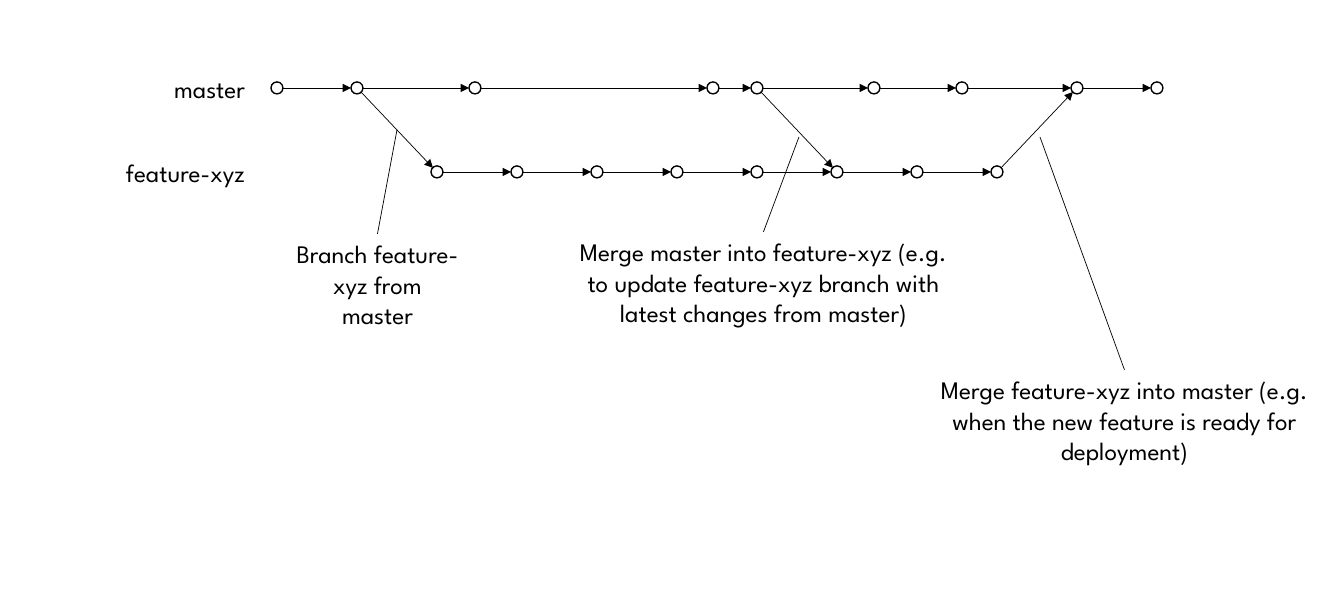
from itertools import pairwise

from lxml import etree
from pptx import Presentation
from pptx.dml.color import RGBColor
from pptx.enum.shapes import MSO_CONNECTOR, MSO_SHAPE
from pptx.enum.text import MSO_AUTO_SIZE, PP_ALIGN
from pptx.oxml.ns import qn
from pptx.util import Cm, Emu, Pt

SCALE = 914400 / 100.8  # EMU in one px
WIDTH, HEIGHT = 1344, Cm(15)  # px, and a page height set in centimetres
STRAIGHT, CIRCLE = MSO_CONNECTOR.STRAIGHT, MSO_SHAPE.OVAL
GROW = MSO_AUTO_SIZE.SHAPE_TO_FIT_TEXT
RIGHT, CENTER = PP_ALIGN.RIGHT, PP_ALIGN.CENTER
TOP = 0
RADIUS, DIAGONAL = 6, 4  # commit circle, and its reach along each axis at 45°

MASTER_Y, FEATURE_Y = 88, 172
MASTER_X = [277, 357, 475, 713, 757, 874, 962, 1077, 1157]
FEATURE_X = [437 + 80 * step for step in range(8)]


def px(length):
    return Emu(round(length * SCALE))


def color(value):
    return RGBColor.from_string(value)


class Diagram:
    ink, paper = "000000", "FFFFFF"
    font = {"name": "League Spartan", "size": Pt(18)}

    def __init__(self, page):
        self.page = page

    def commit(self, x, y):
        circle = self.page.shapes.add_shape(
            CIRCLE, px(x - RADIUS), px(y - RADIUS), px(2 * RADIUS), px(2 * RADIUS))
        circle.shadow.inherit = False
        circle.fill.solid()
        circle.fill.fore_color.rgb = color(self.paper)
        circle.line.color.rgb = color(self.ink)
        circle.line.width = Pt(1)

    def line(self, x1, y1, x2, y2, arrow=False):
        link = self.page.shapes.add_connector(STRAIGHT, px(x1), px(y1), px(x2), px(y2))
        link.line.color.rgb = color(self.ink)
        link.line.width = Pt(0.5)
        if arrow:
            etree.SubElement(link.line._get_or_add_ln(), qn("a:tailEnd"), type="triangle")
        etree.SubElement(link._element.spPr, qn("a:effectLst"))
        return link

    def text(self, words, x, y, width, height, align, wrap):
        box = self.page.shapes.add_textbox(px(x), px(y), px(width), px(height))
        frame = box.text_frame
        frame.word_wrap = wrap
        frame.auto_size = GROW
        para = frame.paragraphs[0]
        para.alignment = align
        span = para.add_run()
        span.text = words
        for name, value in self.font.items():
            setattr(span.font, name, value)
        span.font.color.rgb = color(self.ink)
        return box

    def branch(self, name, xs, y, label_x, label_width):
        for x in xs:
            self.commit(x, y)
        for start, end in pairwise(xs):
            self.line(start + RADIUS, y, end - RADIUS, y, arrow=True)
        self.text(name, label_x, y - 20, label_width, 40, RIGHT, False)

    def crossing(self, x1, y1, x2, y2):
        reach = DIAGONAL if y2 > y1 else -DIAGONAL
        self.line(x1 + DIAGONAL, y1 + reach, x2 - DIAGONAL, y2 - reach, arrow=True)

    def callout(self, words, x, y, width, height, target):
        box = self.text(words, x, y, width, height, CENTER, True)
        self.line(x + width // 2, y, *target).begin_connect(box, TOP)


def main():
    deck = Presentation()
    deck.slide_width, deck.slide_height = px(WIDTH), HEIGHT
    diagram = Diagram(deck.slides.add_slide(deck.slide_layouts[6]))

    # Branches with their commits
    diagram.branch("master", MASTER_X, MASTER_Y, 151, 104)
    diagram.branch("feature-xyz", FEATURE_X, FEATURE_Y, 100, 155)

    # Branching off, updating and merging back
    diagram.crossing(MASTER_X[1], MASTER_Y, FEATURE_X[0], FEATURE_Y)
    diagram.crossing(MASTER_X[4], MASTER_Y, FEATURE_X[5], FEATURE_Y)
    diagram.crossing(FEATURE_X[7], FEATURE_Y, MASTER_X[7], MASTER_Y)

    # Explanations
    diagram.callout("Branch feature-xyz from master", 286, 234, 183, 102, (397, 130))
    diagram.callout(
        "Merge master into feature-xyz (e.g. to update feature-xyz branch with "
        "latest changes from master)", 562, 232, 403, 132, (799, 137))
    diagram.callout(
        "Merge feature-xyz into master (e.g. when the new feature is ready for "
        "deployment)", 923, 370, 403, 102, (1040, 137))

    deck.save("out.pptx")


if __name__ == "__main__":
    main()
